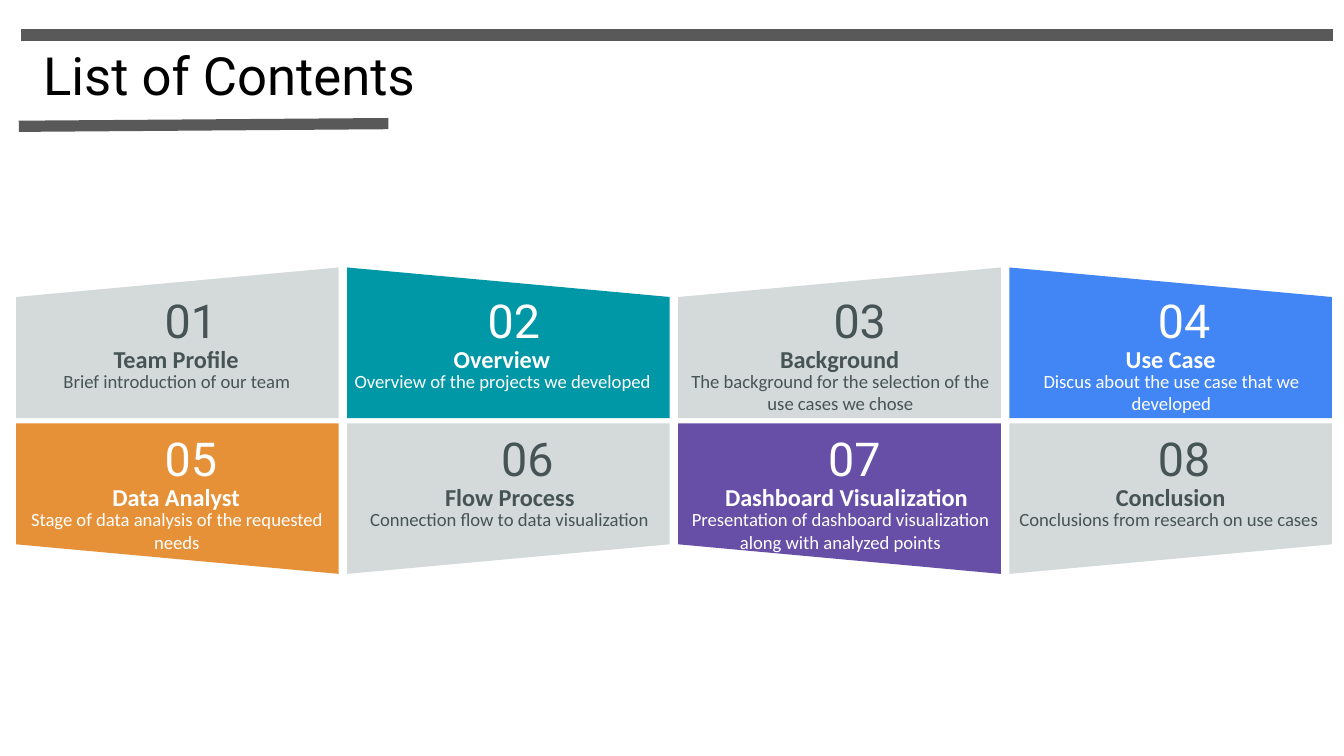
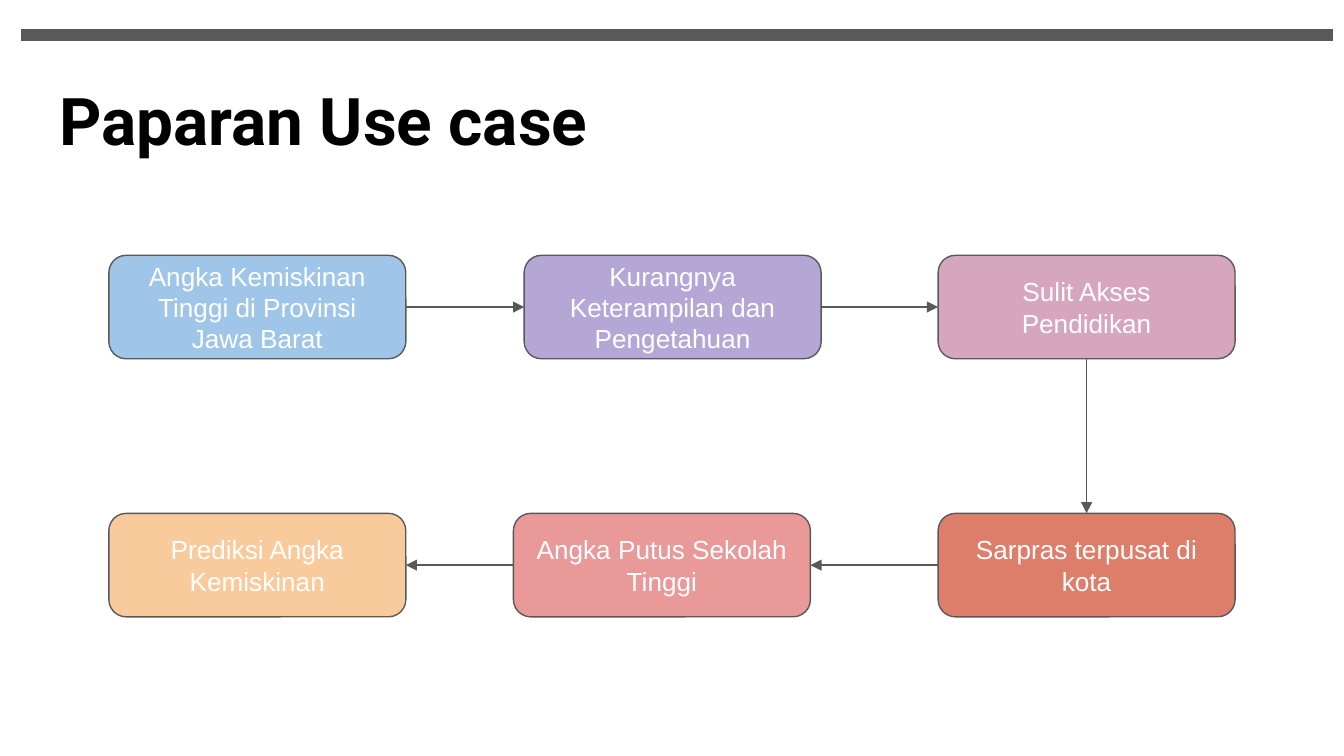
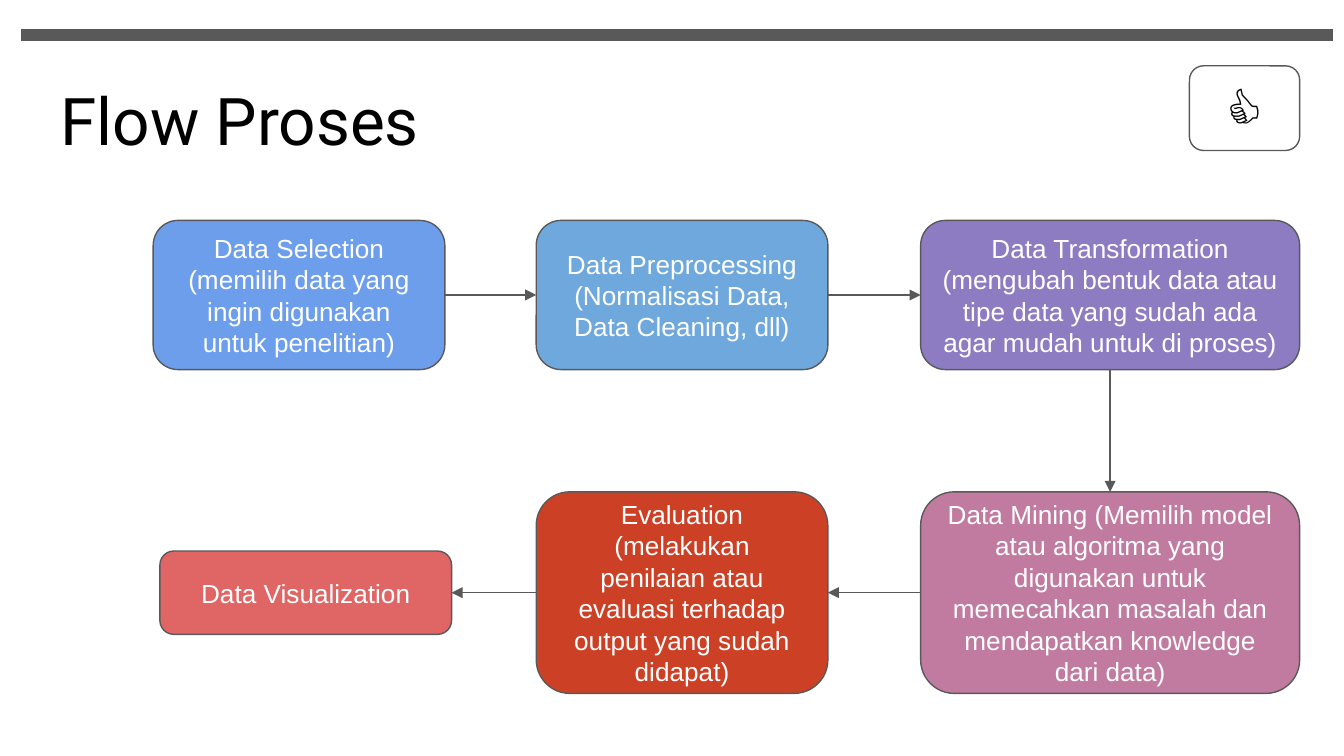
import pptx
import pptx.dml.color
import pptx.enum.shapes
import pptx.enum.text
import pptx.oxml
import pptx.oxml.ns
import pptx.util

Inches = pptx.util.Inches
Pt = pptx.util.Pt
ALIGN = pptx.enum.text.PP_ALIGN
ANCHOR = pptx.enum.text.MSO_ANCHOR

GREY = "595959"
PALE = "D4DADA"
SLATE = "475455"
WHITE = "FFFFFF"
BLACK = "000000"

CARD_WIDTH, CARD_HEIGHT, CARD_SLANT = 2.4, 1.12, 0.22
CARD_PITCH = (7.51 - 0.12) / 3
CARD_ROWS = [(1.99, 0.14), (3.15, 0.01)]

RIGHTWARD, DOWNWARD, LEFTWARD = (3, 1), (2, 0), (1, 3)
FLOW_DIRECTIONS = [RIGHTWARD, RIGHTWARD, DOWNWARD, LEFTWARD, LEFTWARD]

CONTENTS = [
    ("Team Profile", "Brief introduction of our team", PALE, 1.3, 1.19, 0.04),
    ("Overview", "Overview of the projects we developed", "0097A7", 1.24, 1.15, 0),
    ("Background", "The background for the selection of the use cases we chose", PALE, 1.35, 1.2, 0.05),
    ("Use Case", "Discus about the use case that we developed", "4285F4", 1.3, 1.2, 0.05),
    ("Data Analyst", "Stage of data analysis of the requested needs", "E69138", 1.3, 1.19, 0.04),
    ("Flow Process", "Connection flow to data visualization", PALE, 1.34, 1.21, 0.05),
    ("Dashboard Visualization", "Presentation of dashboard visualization along with analyzed points",
     "674EA7", 1.31, 1.25, 0.05),
    ("Conclusion", "Conclusions from research on use cases", PALE, 1.3, 1.2, 0.03),
]

USE_CASE_STEPS = [
    ("Angka Kemiskinan Tinggi di Provinsi Jawa Barat", "9FC5E8", (0.81, 1.9, 2.21, 0.77)),
    ("Kurangnya Keterampilan dan Pengetahuan", "B4A7D6", (3.9, 1.9, 2.21, 0.77)),
    ("Sulit Akses Pendidikan", "D5A6BD", (6.98, 1.9, 2.21, 0.77)),
    ("Sarpras terpusat di kota", "DD7E6B", (6.98, 3.82, 2.21, 0.77)),
    ("Angka Putus Sekolah Tinggi", "EA9999", (3.82, 3.82, 2.21, 0.77)),
    ("Prediksi Angka Kemiskinan", "F9CB9C", (0.81, 3.82, 2.21, 0.77)),
]

PROCESS_STEPS = [
    ("Data Selection (memilih data yang ingin digunakan untuk penelitian)",
     "6D9EEB", (1.14, 1.64, 2.17, 1.11)),
    ("Data Preprocessing (Normalisasi Data, Data Cleaning, dll)",
     "6FA8DC", (3.99, 1.64, 2.17, 1.11)),
    ("Data Transformation (mengubah bentuk data atau tipe data yang sudah ada agar mudah untuk di proses)",
     "8E7CC3", (6.85, 1.64, 2.82, 1.11)),
    ("Data Mining (Memilih model atau algoritma yang digunakan untuk memecahkan masalah dan mendapatkan "
     "knowledge dari data)", "C27BA0", (6.85, 3.66, 2.82, 1.5)),
    ("Evaluation (melakukan penilaian atau evaluasi terhadap output yang sudah didapat)",
     "CC4125", (3.99, 3.66, 2.17, 1.5)),
    ("Data Visualization", "E06666", (1.19, 4.1, 2.17, 0.62)),
]


def rgb(code):
    return pptx.dml.color.RGBColor.from_string(code)


def inches(values):
    return [Inches(value) for value in values]


def write(frame, text, size, font, color, bold=False, align=ALIGN.CENTER, anchor=ANCHOR.TOP, inset=0.1):
    frame.text = text
    frame.word_wrap = True
    frame.auto_size = pptx.enum.text.MSO_AUTO_SIZE.NONE
    frame.vertical_anchor = anchor
    frame.margin_left = frame.margin_right = Inches(inset)
    frame.margin_top = frame.margin_bottom = Inches(inset)
    paragraph = frame.paragraphs[0]
    paragraph.alignment = align
    run_font = paragraph.runs[0].font
    run_font.size = Pt(size)
    run_font.name = font
    run_font.bold = bold
    run_font.color.rgb = rgb(color)


def add_line(slide, start, end, width, arrow=False):
    line = slide.shapes.add_connector(
        pptx.enum.shapes.MSO_CONNECTOR.STRAIGHT, *inches(start), *inches(end)
    )
    line.line.color.rgb = rgb(GREY)
    line.line.width = Pt(width)
    properties = line.element.spPr
    if arrow:
        stroke = properties.find(pptx.oxml.ns.qn("a:ln"))
        tip = pptx.oxml.parse_xml(f'<a:tailEnd {pptx.oxml.ns.nsdecls("a")} type="triangle"/>')
        stroke.append(tip)
    properties.append(pptx.oxml.parse_xml(f'<a:effectLst {pptx.oxml.ns.nsdecls("a")}/>'))
    return line


def add_titled_slide(deck, title, left, top, size, bold=False):
    slide = deck.slides.add_slide(deck.slide_layouts.get_by_name("Title Only"))
    heading = slide.shapes.title
    heading.left, heading.top, heading.width, heading.height = inches((left, top, 9.32, 0.63))
    write(heading.text_frame, title, size, "Roboto", BLACK, bold, ALIGN.LEFT)
    return slide


def add_label(slide, box, text, size, font, color, bold=False):
    label = slide.shapes.add_textbox(*inches(box))
    write(label.text_frame, text, size, font, color, bold, inset=0.04)


def add_card(slide, index, content):
    heading, summary, fill, number_center, heading_center, summary_left = content
    row, column = divmod(index, 4)
    left = 0.12 + column * CARD_PITCH
    top, number_top = CARD_ROWS[row]
    right, bottom = left + CARD_WIDTH, top + CARD_HEIGHT
    slanted, flat, inward = (top, bottom, CARD_SLANT) if row == 0 else (bottom, top, -CARD_SLANT)
    short_side, tall_side = (left, right) if column % 2 == 0 else (right, left)

    corners = [(short_side, slanted + inward), (tall_side, slanted), (tall_side, flat), (short_side, flat)]
    points = [inches(corner) for corner in corners]
    outline = slide.shapes.build_freeform(*points[0])
    outline.add_line_segments(points[1:], close=True)
    panel = outline.convert_to_shape()
    panel.shadow.inherit = False
    panel.fill.solid()
    panel.fill.fore_color.rgb = rgb(fill)
    panel.line.fill.background()

    ink = SLATE if fill == PALE else WHITE
    number_y = top + number_top
    add_label(slide, (left + heading_center - 1.05, number_y + 0.39, 2.1, 0.25), heading, 13, "Calibri", ink, True)
    add_label(slide, (left + summary_left, number_y + 0.58, 2.31, 0.34), summary, 10, "Calibri", ink)
    add_label(slide, (left + number_center - 0.36, number_y, 0.72, 0.43), f"{index + 1:02}", 25, "Roboto", ink)


def add_step(slide, text, fill, box, size=14, color=WHITE):
    step = slide.shapes.add_shape(pptx.enum.shapes.MSO_SHAPE.ROUNDED_RECTANGLE, *inches(box))
    step.shadow.inherit = False
    step.line.color.rgb = rgb(GREY)
    step.line.width = Pt(0.75)
    if fill:
        step.fill.solid()
        step.fill.fore_color.rgb = rgb(fill)
    else:
        step.fill.background()
    write(step.text_frame, text, size, "Arial", color, anchor=ANCHOR.MIDDLE)
    return step


def add_flow(slide, steps):
    boxes = [add_step(slide, *step) for step in steps]
    for source, target, (leave, enter) in zip(boxes, boxes[1:], FLOW_DIRECTIONS):
        arrow = add_line(slide, (0, 0), (1, 1), 0.75, arrow=True)
        arrow.begin_connect(source, leave)
        arrow.end_connect(target, enter)


def build_contents(deck):
    slide = add_titled_slide(deck, "List of Contents", 0.22, 0.22, 28.2)
    add_line(slide, (0.14, 0.94), (2.89, 0.92), 6)
    for index, content in enumerate(CONTENTS):
        add_card(slide, index, content)
    return slide


def build_use_case(deck):
    slide = add_titled_slide(deck, "Paparan Use case", 0.34, 0.49, 35.2, bold=True)
    add_flow(slide, USE_CASE_STEPS)


def build_process(deck):
    slide = add_titled_slide(deck, "Flow Proses", 0.35, 0.49, 35.2)
    add_flow(slide, PROCESS_STEPS)
    add_step(slide, "👍", None, (8.85, 0.49, 0.82, 0.63), 30, BLACK)


def share_top_band(slide):
    band = add_line(slide, (0.16, 0.26), (9.92, 0.26), 6)
    slide.slide_layout.shapes.element.append(band.element)


def main():
    deck = pptx.Presentation()
    deck.slide_width = Inches(10)
    deck.slide_height = Inches(10 * 9 / 16)
    share_top_band(build_contents(deck))
    build_use_case(deck)
    build_process(deck)
    deck.save("out.pptx")


if __name__ == "__main__":
    main()
